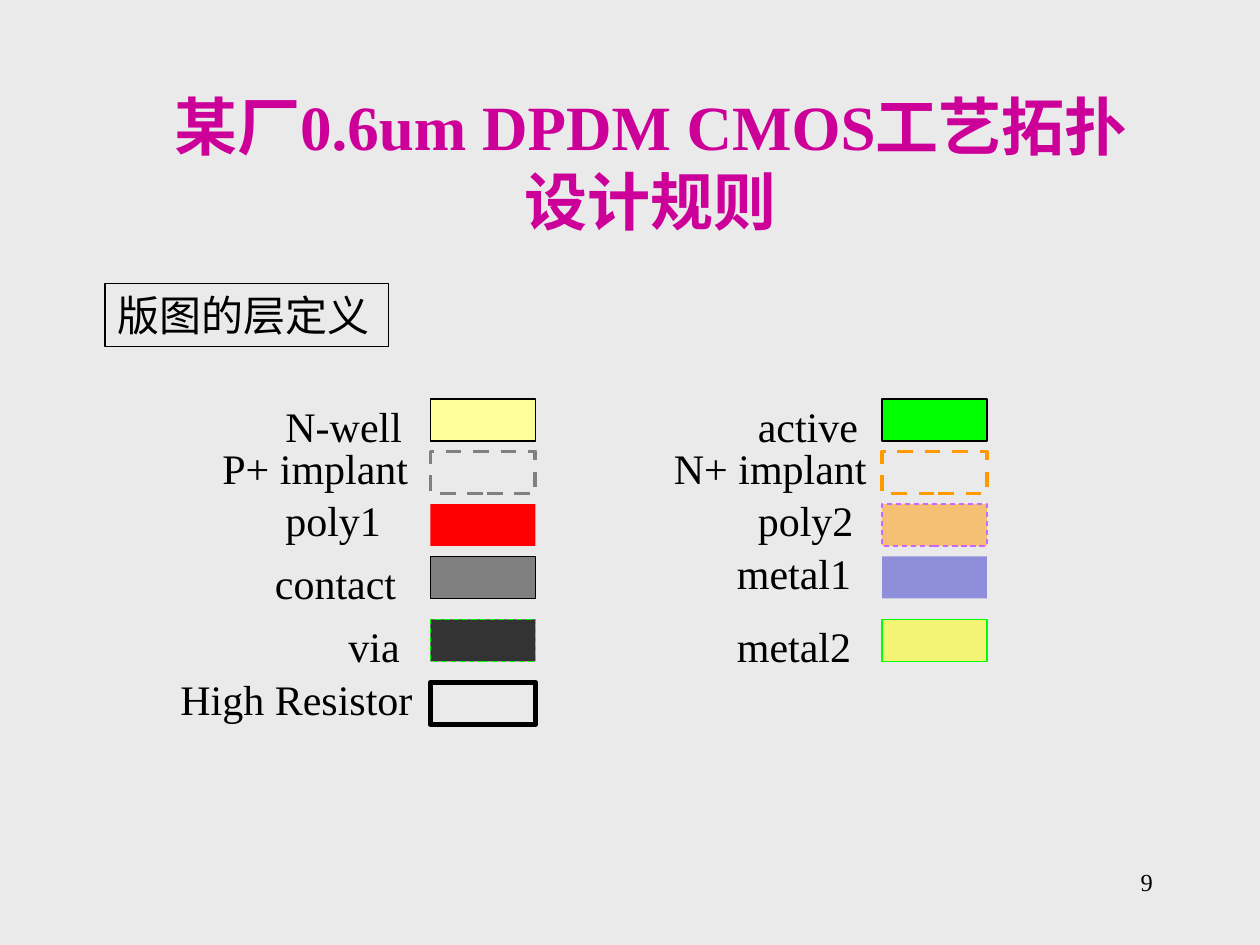
from dataclasses import dataclass

from lxml.etree import SubElement
from pptx import Presentation
from pptx.dml.color import RGBColor
from pptx.enum.dml import MSO_LINE
from pptx.enum.shapes import MSO_SHAPE
from pptx.enum.text import MSO_ANCHOR, MSO_AUTO_SIZE, PP_ALIGN
from pptx.oxml.ns import qn
from pptx.util import Pt


@dataclass(frozen=True)
class Theme:
    """Colours, font and type sizes of the slide."""
    font: str = "Times New Roman"
    background: str = "EAEAEA"
    title: str = "CC0099"
    text: str = "000000"
    title_size: int = 36
    body_size: int = 24
    number_size: int = 14


@dataclass(frozen=True)
class Layer:
    """A mask layer: its label box relative to its swatch, and its style."""
    name: str
    shift: tuple
    width: int
    fill: str = ""
    opacity: int = 100
    line: str = ""
    weight: float = 0.75
    dashed: bool = False


THEME = Theme()
SWATCH_SIZE = (60, 24)
ROW_TOPS = (0, 30, 60, 90, 126, 162)
LEFT_LAYERS = (
    Layer("N-well", (-90, -6), 90, fill="FFFF99", line="000000"),
    Layer("P+ implant", (-126, -12), 126, line="808080", weight=2.25, dashed=True),
    Layer("poly1", (-90, -12), 72, fill="FF0000"),
    Layer("contact", (-96, -6), 90, fill="808080", line="000000"),
    Layer("via", (-54, -6), 54, fill="333333", line="00FF00", dashed=True),
    Layer("High Resistor", (-150, -12), 150, line="000000", weight=3),
)
RIGHT_LAYERS = (
    Layer("active", (-78, -6), 72, fill="00FF00", line="000000"),
    Layer("N+ implant", (-126, -12), 126, line="FF9900", weight=2.25, dashed=True),
    Layer("poly2", (-78, -12), 72, fill="FF9900", opacity=50, line="CC66FF", dashed=True),
    Layer("metal1", (-90, -12), 84, fill="3333CC", opacity=50),
    Layer("metal2", (-90, -6), 90, fill="FFFF00", opacity=50, line="00FF00"),
)


def set_values(target, values):
    """Set each attribute of the target from a dict."""
    for name, value in values.items():
        setattr(target, name, value)


def write_text(shape, text, size, color=THEME.text, bold=False,
               align=PP_ALIGN.LEFT, **frame_values):
    """Write one formatted paragraph into a shape."""
    frame = shape.text_frame
    set_values(frame, {"word_wrap": True, "auto_size": MSO_AUTO_SIZE.NONE, **frame_values})
    para = frame.paragraphs[0]
    set_values(para, {"alignment": align, "space_before": Pt(0)})
    span = para.add_run()
    span.text = text
    set_values(span.font, {"name": THEME.font, "size": Pt(size), "bold": bold})
    span.font.color.rgb = RGBColor.from_string(color)


def add_textbox(page, box, text, size, **options):
    """Add a text box at the given box."""
    shape = page.shapes.add_textbox(*map(Pt, box))
    write_text(shape, text, size, **options)


def add_rectangle(page, box, fill="", opacity=100, line="", weight=0.75, dashed=False):
    """Add a rectangle with an optional fill and outline."""
    shape = page.shapes.add_shape(MSO_SHAPE.RECTANGLE, *map(Pt, box))
    shape.shadow.inherit = False
    if fill:
        shape.fill.solid()
        shape.fill.fore_color.rgb = RGBColor.from_string(fill)
        if opacity < 100:
            color = next(shape.fill._xPr.iter(qn("a:srgbClr")))
            SubElement(color, qn("a:alpha"), val=str(opacity * 1000))
    else:
        shape.fill.background()
    if line:
        shape.line.color.rgb = RGBColor.from_string(line)
        shape.line.width = Pt(weight)
        if dashed:
            shape.line.dash_style = MSO_LINE.DASH
    else:
        shape.line.fill.background()
    return shape


def place_title(page, box, text):
    """Move and format the title placeholder."""
    title = page.shapes.title
    set_values(title, dict(zip(("left", "top", "width", "height"), map(Pt, box))))
    write_text(title, text, THEME.title_size, color=THEME.title, bold=True,
               align=PP_ALIGN.CENTER, vertical_anchor=MSO_ANCHOR.MIDDLE)


def place_heading(page, box, text):
    """Place the outlined section heading."""
    heading = add_rectangle(page, box, line=THEME.text)
    write_text(heading, text, THEME.body_size, vertical_anchor=MSO_ANCHOR.MIDDLE)


def place_layers(page, origin, layers):
    """Place a column of labelled swatches whose first swatch is at the origin."""
    left, first_top = origin
    for layer, row_top in zip(layers, ROW_TOPS):
        top = first_top + row_top
        add_rectangle(page, (left, top, *SWATCH_SIZE), layer.fill, layer.opacity,
                      layer.line, layer.weight, layer.dashed)
        across, down = layer.shift
        add_textbox(page, (left + across, top + down, layer.width, 36), layer.name,
                    THEME.body_size, margin_top=Pt(6.6))


def build_layer_slide(deck):
    """Build the slide that defines the layout layers."""
    page = deck.slides.add_slide(deck.slide_layouts[5])
    page.background.fill.solid()
    page.background.fill.fore_color.rgb = RGBColor.from_string(THEME.background)
    place_title(page, (90, 48, 564, 90), "某厂0.6um DPDM CMOS工艺拓扑设计规则")
    place_heading(page, (60, 162, 162, 36), "版图的层定义")
    place_layers(page, (246, 228), LEFT_LAYERS)
    place_layers(page, (504, 228), RIGHT_LAYERS)
    add_textbox(page, (516, 492, 150, 36), "9", THEME.number_size, align=PP_ALIGN.RIGHT)


def main():
    """Create and save the deck."""
    deck = Presentation()
    set_values(deck, {"slide_width": Pt(720), "slide_height": Pt(540)})
    build_layer_slide(deck)
    deck.save("out.pptx")


if __name__ == "__main__":
    main()
